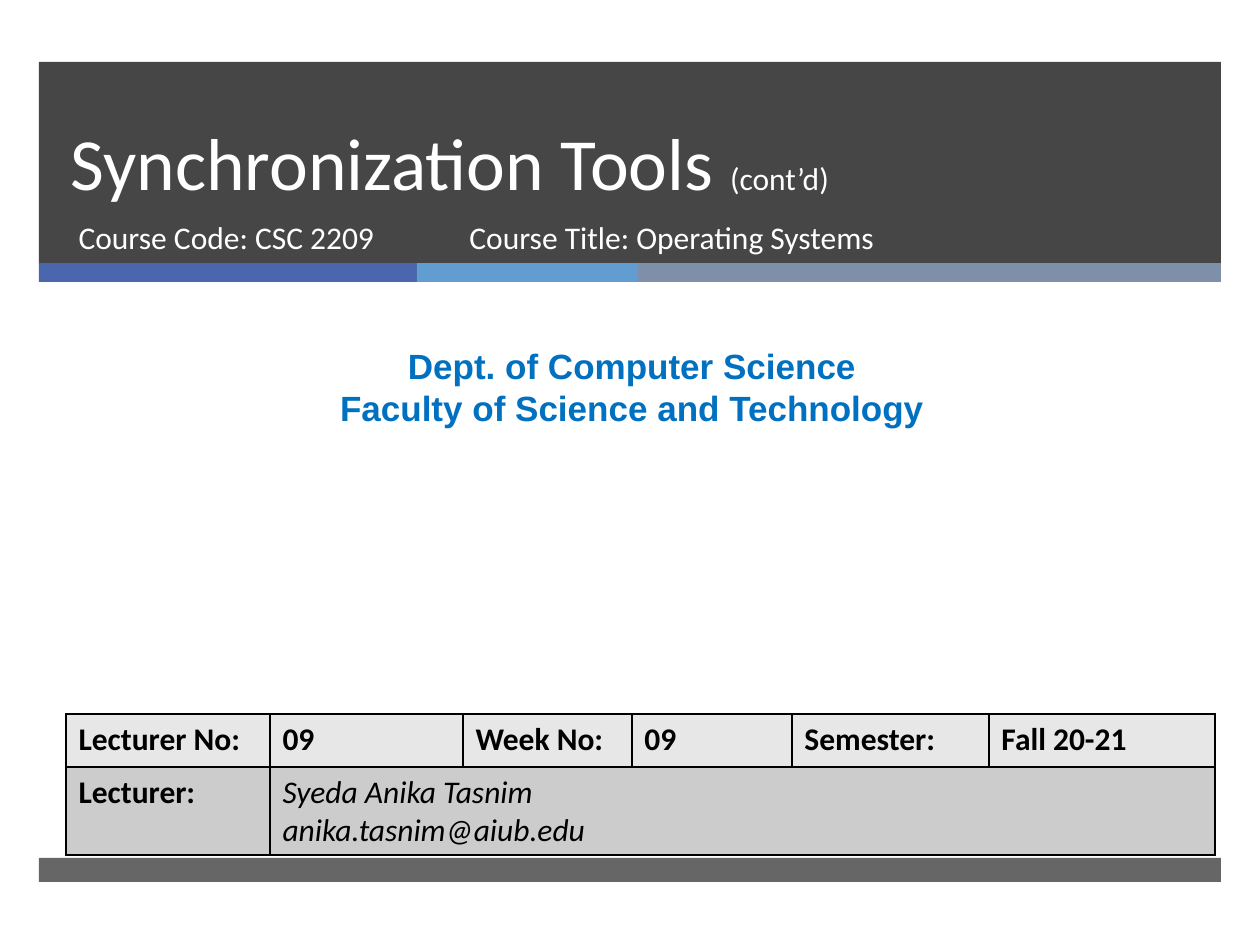
from dataclasses import dataclass

from lxml.etree import SubElement
from pptx import Presentation
from pptx.dml.color import RGBColor
from pptx.enum.shapes import MSO_SHAPE
from pptx.enum.text import MSO_ANCHOR, MSO_AUTO_SIZE, PP_ALIGN
from pptx.oxml.ns import qn
from pptx.util import Emu, Pt

PX_PER_INCH = 126
CHARCOAL = RGBColor(0x26, 0x26, 0x26)
INDIGO = RGBColor(0x4A, 0x66, 0xAC)
SKY = RGBColor(0x62, 0x9D, 0xD1)
SLATE = RGBColor(0x7F, 0x8F, 0xA9)
DEPT_BLUE = RGBColor(0x00, 0x70, 0xC0)
LIGHT_GREY = RGBColor(0xE7, 0xE7, 0xE7)
MID_GREY = RGBColor(0xCC, 0xCC, 0xCC)
WHITE = RGBColor(0xFF, 0xFF, 0xFF)
BLACK = RGBColor(0, 0, 0)

WHITE_TEXT = {"name": "Calibri", "size": Pt(18), "color": WHITE}
TITLE_TEXT = {**WHITE_TEXT, "size": Pt(42)}
DEPT_TEXT = {"name": "Arial", "size": Pt(20), "color": DEPT_BLUE, "bold": True}
LABEL_TEXT = {"name": "Calibri", "size": Pt(18), "color": BLACK, "bold": True}
LECTURER_TEXT = {**LABEL_TEXT, "bold": False, "italic": True}


@dataclass(frozen=True)
class Box:
    left: int
    top: int
    width: int
    height: int


@dataclass(frozen=True)
class Band:
    box: Box
    color: RGBColor
    opacity: int = 100


BANDS = [
    Band(Box(39, 62, 1182, 202), CHARCOAL, 85),
    Band(Box(39, 263, 378, 19), INDIGO),
    Band(Box(417, 263, 221, 19), SKY),
    Band(Box(638, 263, 583, 19), SLATE),
    Band(Box(39, 858, 1182, 24), CHARCOAL, 70),
]
COLUMN_WIDTHS = [204, 193, 169, 160, 197, 226]
ROW_HEIGHTS = [53, 88]
TABLE_ROWS = [
    ["Lecturer No:", "09", "Week No:", "09", "Semester:", "Fall 20-21"],
    ["Lecturer:", "Syeda Anika Tasnim\nanika.tasnim@aiub.edu"],
]


def px(length: int) -> Emu:
    return Emu(round(length * 914400 / PX_PER_INCH))


def place(shape, box: Box) -> None:
    shape.left, shape.top = px(box.left), px(box.top)
    shape.width, shape.height = px(box.width), px(box.height)


def format_font(font, style: dict) -> None:
    for attribute, value in style.items():
        if attribute == "color":
            font.color.rgb = value
        else:
            setattr(font, attribute, value)


def write(frame, text: str, style: dict, align=PP_ALIGN.LEFT) -> None:
    frame.text = text
    frame.word_wrap = True
    for paragraph in frame.paragraphs:
        paragraph.alignment = align
        paragraph.space_before = Pt(0)
        for run in paragraph.runs:
            format_font(run.font, style)


def add_band(slide, band: Band) -> None:
    """Draw a band behind the title placeholder."""
    shape = slide.shapes.add_shape(MSO_SHAPE.RECTANGLE, 0, 0, 0, 0)
    place(shape, band.box)
    shape.shadow.inherit = False
    shape.line.fill.background()
    shape.fill.solid()
    shape.fill.fore_color.rgb = band.color
    if band.opacity < 100:
        color = shape.element.spPr.find(f"{qn('a:solidFill')}/{qn('a:srgbClr')}")
        SubElement(color, qn("a:alpha"), val=str(band.opacity * 1000))
    slide.shapes.title.element.addprevious(shape.element)


def add_text(slide, box: Box, text: str, style: dict, align=PP_ALIGN.LEFT) -> None:
    label = slide.shapes.add_textbox(0, 0, 0, 0)
    place(label, box)
    write(label.text_frame, text, style, align)


def add_borders(cell) -> None:
    properties = cell._tc.get_or_add_tcPr()
    for side in ("lnL", "lnR", "lnT", "lnB"):
        line = SubElement(properties, qn(f"a:{side}"), w=str(Pt(1)))
        fill = SubElement(line, qn("a:solidFill"))
        SubElement(fill, qn("a:srgbClr"), val=str(BLACK))


def add_lecture_table(slide) -> None:
    table = slide.shapes.add_table(
        len(ROW_HEIGHTS), len(COLUMN_WIDTHS), px(66), px(714),
        px(sum(COLUMN_WIDTHS)), px(sum(ROW_HEIGHTS))).table
    for column, width in zip(table.columns, COLUMN_WIDTHS):
        column.width = px(width)
    for row, height, color in zip(table.rows, ROW_HEIGHTS, (LIGHT_GREY, MID_GREY)):
        row.height = px(height)
        for cell in row.cells:
            add_borders(cell)
            cell.fill.solid()
            cell.fill.fore_color.rgb = color
    table.cell(1, 1).merge(table.cell(1, len(COLUMN_WIDTHS) - 1))
    for r, texts in enumerate(TABLE_ROWS):
        for c, text in enumerate(texts):
            style = LECTURER_TEXT if (r, c) == (1, 1) else LABEL_TEXT
            write(table.cell(r, c).text_frame, text, style)


def fill_placeholders(slide) -> None:
    title, course_code = slide.shapes.title, slide.placeholders[1]
    place(title, Box(58, 62, 1076, 150))
    write(title.text_frame, "Synchronization Tools ", TITLE_TEXT)
    heading = title.text_frame.paragraphs[0]
    heading.line_spacing = Pt(46)
    continued = heading.add_run()
    continued.text = "(cont’d)"
    format_font(continued.font, WHITE_TEXT)
    title.text_frame.vertical_anchor = MSO_ANCHOR.BOTTOM

    place(course_code, Box(66, 212, 384, 67))
    write(course_code.text_frame, "Course Code: CSC 2209", WHITE_TEXT)
    course_code.text_frame.vertical_anchor = MSO_ANCHOR.TOP
    for placeholder in (title, course_code):
        placeholder.text_frame.auto_size = MSO_AUTO_SIZE.NONE


def main() -> None:
    presentation = Presentation()
    presentation.slide_width, presentation.slide_height = px(1260), px(945)
    slide = presentation.slides.add_slide(presentation.slide_layouts[0])
    for band in BANDS:
        add_band(slide, band)
    fill_placeholders(slide)
    add_text(slide, Box(10, 338, 1244, 97),
             "Dept. of Computer Science\nFaculty of Science and Technology",
             DEPT_TEXT, PP_ALIGN.CENTER)
    add_lecture_table(slide)
    add_text(slide, Box(457, 212, 573, 67), "Course Title: Operating Systems", WHITE_TEXT)
    presentation.save("out.pptx")


if __name__ == "__main__":
    main()
